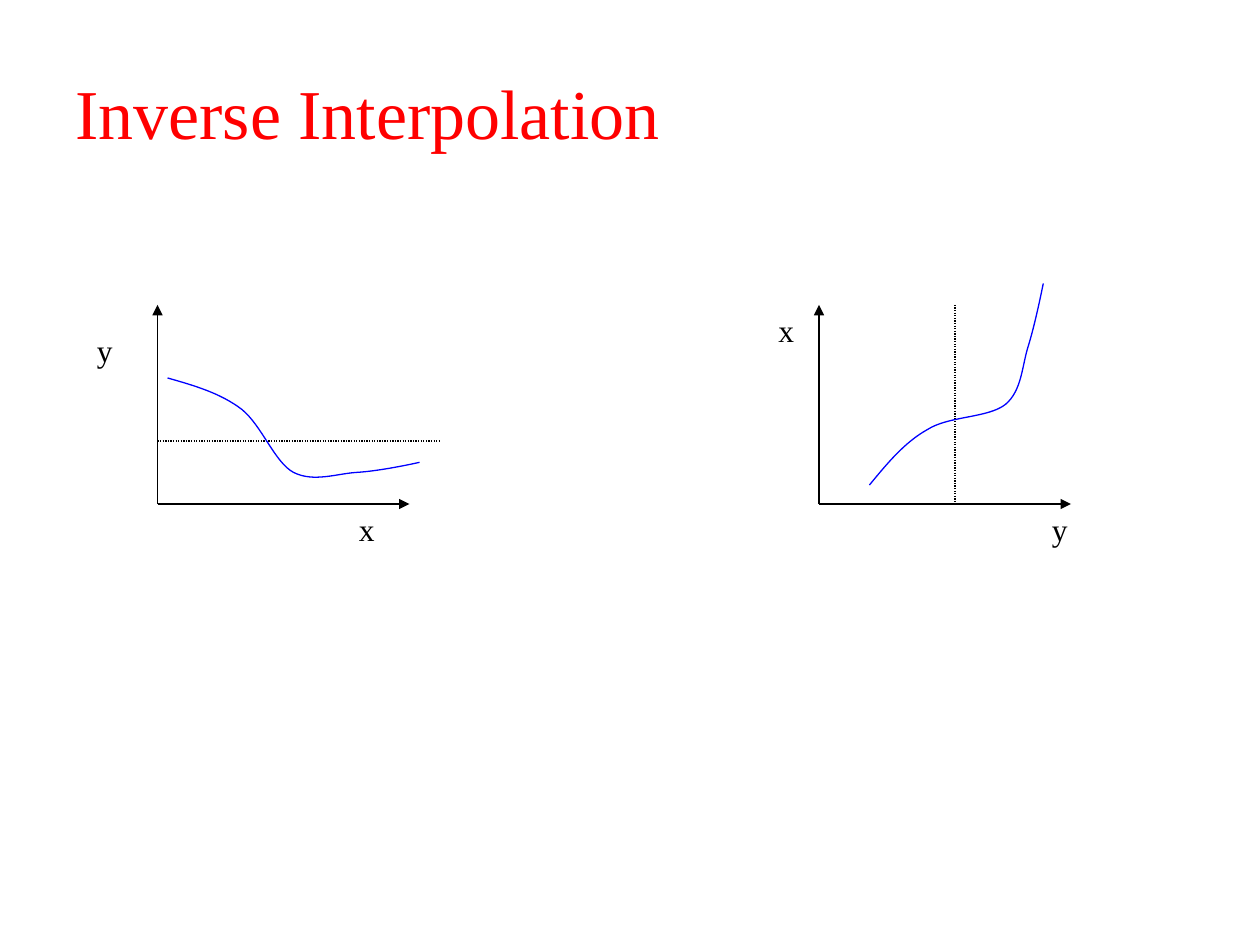
"""Build the Inverse Interpolation slide with two graphs."""
from lxml.etree import SubElement
from pptx import Presentation
from pptx.dml.color import RGBColor
from pptx.enum.dml import MSO_LINE
from pptx.enum.shapes import MSO_CONNECTOR
from pptx.enum.text import MSO_ANCHOR
from pptx.oxml.ns import qn
from pptx.util import Inches, Pt


def paint(color, hue):
    color.rgb = RGBColor.from_string(hue)


def write(text, box, size, hue):
    frame = slide.shapes.add_textbox(*map(Inches, box)).text_frame
    frame.word_wrap = True
    frame.text = text
    para = frame.paragraphs[0]
    para.font.name = "Times New Roman"
    para.font.size = Pt(size)
    paint(para.font.color, hue)
    return frame


deck = Presentation()
deck.slide_width, deck.slide_height = Inches(10), Inches(7.5)
slide = deck.slides.add_slide(deck.slide_layouts[6])

title = write("Inverse Interpolation", (0.5, 0.3, 9, 1.25), 40, "FF0000")
title.vertical_anchor = MSO_ANCHOR.MIDDLE
title.paragraphs[0].line_spacing = 0.9

top, base = 2.42, 4
lines = [((1.25, 3.5, 3.5, 3.5), False), ((7.58, top, 7.58, base), False)]
for left in (1.25, 6.5):
    lines.append(((left, base, left, top), True))
    lines.append(((left, base, left + 2, base), True))

for ends, arrow in lines:
    line = slide.shapes.add_connector(MSO_CONNECTOR.STRAIGHT, *map(Inches, ends))
    paint(line.line.color, "000000")
    line.line.width = Pt(0.75)
    if arrow:
        SubElement(line.line._get_or_add_ln(), qn("a:tailEnd"), type="triangle")
    else:
        line.line.dash_style = MSO_LINE.ROUND_DOT
    SubElement(line._element.spPr, qn("a:effectLst"))

curves = [
    [(1.33, 3), (1.54, 3.06), (1.75, 3.12), (1.92, 3.25),
     (2.08, 3.38), (2.18, 3.67), (2.33, 3.75),
     (2.49, 3.83), (2.67, 3.76), (2.83, 3.75),
     (3, 3.74), (3.24, 3.69), (3.33, 3.67)],
    [(6.9, 3.85), (7.04, 3.68), (7.18, 3.51), (7.36, 3.41),
     (7.53, 3.3), (7.84, 3.32), (7.98, 3.21),
     (8.11, 3.1), (8.11, 2.91), (8.16, 2.75),
     (8.21, 2.59), (8.26, 2.35), (8.28, 2.25)],
]
for knots in curves:
    start, *rest = [(Inches(x), Inches(y)) for x, y in knots]
    pen = slide.shapes.build_freeform(*start)
    pen.add_line_segments(rest, close=False)
    curve = pen.convert_to_shape()
    curve.shadow.inherit = False
    curve.fill.background()
    paint(curve.line.color, "0000FF")
    curve.line.width = Pt(0.75)
    track = curve._element.find(".//" + qn("a:path"))
    steps = track.findall(qn("a:lnTo"))
    for i in range(0, len(steps), 3):
        bend = SubElement(track, qn("a:cubicBezTo"))
        for step in steps[i:i + 3]:
            bend.append(step[0])
            track.remove(step)

wide = {"x": 0.58, "y": 0.42}
for name, left, high in [("y", 0.67, 2.58), ("x", 2.75, base),
                         ("x", 6.08, top), ("y", 8.25, base)]:
    write(name, (left, high, wide[name], 0.4), 18, "000000")

deck.save("out.pptx")
